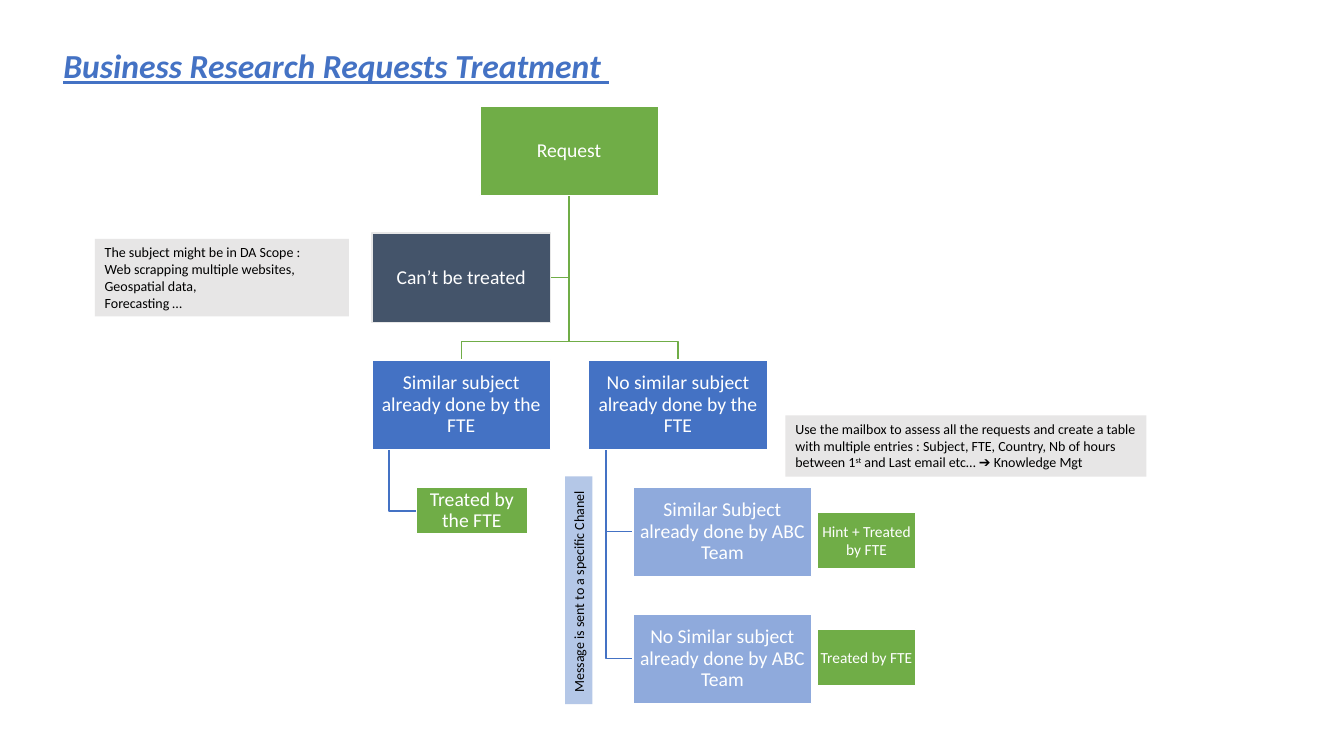
import pptx
import pptx.dml.color
import pptx.enum.shapes
import pptx.enum.text
import pptx.util

Inches = pptx.util.Inches
ALIGN = pptx.enum.text.PP_ALIGN
ANCHOR = pptx.enum.text.MSO_ANCHOR

GREEN, BLUE, PALE_BLUE, SLATE = "70AD47", "4472C4", "8FAADC", "44546A"
GREY, LIGHT_BLUE, WHITE, BLACK = "E7E6E6", "B4C7E7", "FFFFFF", "000000"
CARD_W, CARD_H = 1.77, 0.89
ROW_STEP = 1.26


def color(hex_code):
    return pptx.dml.color.RGBColor.from_string(hex_code)


def add_span(para, text, size, ink, raised=False):
    span = para.add_run()
    span.text = text
    span.font.name = "Calibri"
    span.font.size = pptx.util.Pt(size)
    span.font.color.rgb = color(ink)
    if raised:
        span._r.get_or_add_rPr().set("baseline", "30000")
    return span


def add_panel(page, box, fill, line=None):
    panel = page.shapes.add_shape(
        pptx.enum.shapes.MSO_SHAPE.RECTANGLE, *(Inches(v) for v in box))
    panel.shadow.inherit = False
    panel.fill.solid()
    panel.fill.fore_color.rgb = color(fill)
    if line:
        panel.line.color.rgb = color(line)
        panel.line.width = pptx.util.Pt(1)
    else:
        panel.line.fill.background()
    return panel


def add_card(page, box, text, fill, line=WHITE, size=14, spacing=0.9):
    frame = add_panel(page, box, fill, line).text_frame
    frame.word_wrap = True
    frame.vertical_anchor = ANCHOR.MIDDLE
    frame.margin_left = frame.margin_right = Inches(0.01)
    frame.margin_top = frame.margin_bottom = Inches(0.01)
    para = frame.paragraphs[0]
    para.alignment = ALIGN.CENTER
    para.line_spacing = spacing
    add_span(para, text, size, WHITE)


def add_elbow(page, points, ink):
    corners = [(Inches(x), Inches(y)) for x, y in points]
    builder = page.shapes.build_freeform(*corners[0])
    builder.add_line_segments(corners[1:], close=False)
    elbow = builder.convert_to_shape()
    elbow.shadow.inherit = False
    elbow.fill.background()
    elbow.line.color.rgb = color(ink)
    elbow.line.width = pptx.util.Pt(1)


def add_title(page, box):
    frame = page.shapes.add_textbox(*(Inches(v) for v in box)).text_frame
    frame.word_wrap = False
    span = add_span(frame.paragraphs[0], "Business Research Requests Treatment ", 24, BLUE)
    span.font.bold = span.font.italic = span.font.underline = True


def add_decision_tree(page, left, top):
    rows = [top + ROW_STEP * i for i in range(5)]
    right = left + 2.15
    root = left + 1.07
    trunk = root + CARD_W / 2
    split = rows[2] - 0.18
    bottom = rows[2] + CARD_H

    # Lines from the request to its branches
    start = (trunk, rows[0] + CARD_H)
    side = rows[1] + CARD_H / 2
    add_elbow(page, [start, (trunk, side), (left + CARD_W, side)], GREEN)
    for branch in (left, right):
        center = branch + CARD_W / 2
        add_elbow(page, [start, (trunk, split), (center, split), (center, rows[2])], GREEN)

    # Lines from the branches to their outcomes
    for branch, middle in ((left, rows[3] + 0.24),
                           (right, rows[3] + CARD_H / 2),
                           (right, rows[4] + CARD_H / 2)):
        stem = branch + 0.17
        add_elbow(page, [(stem, bottom), (stem, middle), (branch + 0.44, middle)], BLUE)

    # Cards of the tree
    for x, y, text, fill, line in (
            (root, rows[0], "Request", GREEN, WHITE),
            (left, rows[1], "Can’t be treated", SLATE, "E7E7E7"),
            (left, rows[2], "Similar subject already done by the FTE", BLUE, WHITE),
            (right, rows[2], "No similar subject already done by the FTE", BLUE, WHITE),
            (right + 0.44, rows[3], "Similar Subject already done by ABC Team", PALE_BLUE, WHITE),
            (right + 0.44, rows[4], "No Similar subject already done by ABC Team", PALE_BLUE, WHITE)):
        add_card(page, (x, y, CARD_W, CARD_H), text, fill, line)
    add_card(page, (left + 0.44, rows[3], 1.1, 0.47), "Treated by the FTE", GREEN)

    # Results beside the last two cards
    for y, text in ((rows[3] + 0.25, "Hint + Treated by FTE"),
                    (rows[4] + 0.15, "Treated by FTE")):
        add_card(page, (right + 2.27, y, 0.97, 0.56), text, GREEN, size=11, spacing=1)


def add_note(page, box, lines):
    frame = add_panel(page, box, GREY).text_frame
    frame.word_wrap = True
    frame.vertical_anchor = ANCHOR.TOP
    for i, parts in enumerate(lines):
        para = frame.add_paragraph() if i else frame.paragraphs[0]
        para.alignment = ALIGN.LEFT
        for text, raised in parts:
            add_span(para, text, 10, BLACK, raised)


def add_channel_label(page, box):
    label = add_panel(page, box, LIGHT_BLUE)
    label.rotation = 270
    frame = label.text_frame
    frame.word_wrap = False
    frame.vertical_anchor = ANCHOR.TOP
    para = frame.paragraphs[0]
    para.alignment = ALIGN.CENTER
    add_span(para, "Message is sent to a specific Chanel ", 10, BLACK)


def main():
    deck = pptx.Presentation()
    deck.slide_width, deck.slide_height = Inches(13.33), Inches(7.5)
    page = deck.slides.add_slide(deck.slide_layouts[6])

    add_decision_tree(page, 3.69, 1.05)
    add_note(page, (0.94, 2.37, 2.52, 0.77), [
        [(text, False)] for text in (
            "The subject might be in DA Scope :",
            "Web scrapping multiple websites,",
            "Geospatial data,",
            "Forecasting …")])
    add_channel_label(page, (4.61, 5.72, 2.26, 0.27))
    add_note(page, (7.79, 4.12, 3.58, 0.61), [[
        ("Use the mailbox to assess all the requests and create a table with multiple "
         "entries : Subject, FTE, Country, Nb of hours between 1", False),
        ("st", True),
        (" and Last email etc… ➔ Knowledge Mgt", False)]])
    add_title(page, (0.53, 0.4, 5.74, 0.5))

    deck.save("out.pptx")


if __name__ == "__main__":
    main()
